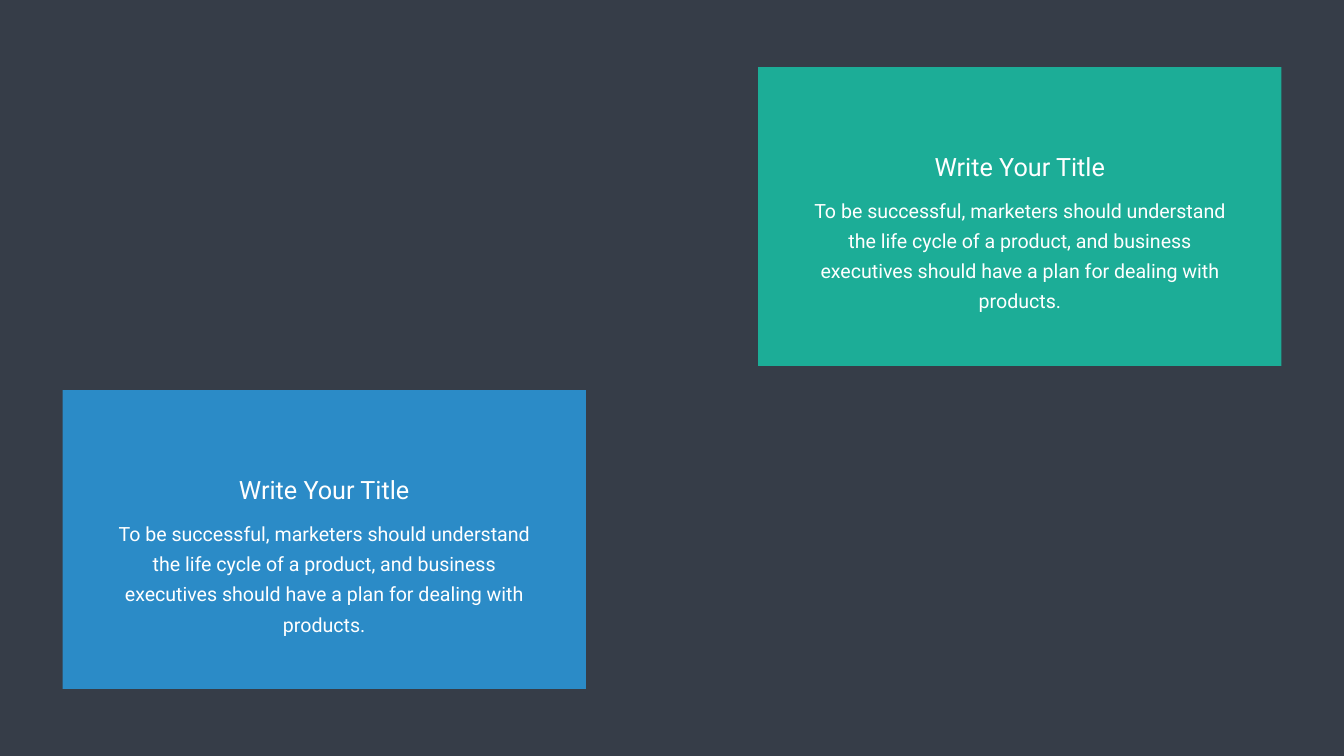
import pptx
import pptx.dml.color
import pptx.enum.shapes
import pptx.enum.text
import pptx.util

RGB = pptx.dml.color.RGBColor
Inch = pptx.util.Inches
Pt = pptx.util.Pt

# Content
TITLE = "Write Your Title"
BODY = ("To be successful, marketers should understand the life cycle of a "
        "product, and business executives should have a plan for dealing "
        "with products.")
DARK = RGB(0x36, 0x3D, 0x48)
GREEN = RGB(0x1C, 0xAD, 0x97)
BLUE = RGB(0x2B, 0x8B, 0xC7)
WHITE = RGB(0xFF, 0xFF, 0xFF)
FONT = "Roboto"

# Cards: column, row, fill, title, body
CARDS = [
    (1, 0, GREEN, TITLE, BODY),
    (0, 1, BLUE, TITLE, BODY),
]

# Grid
WIDE, HIGH = 26.66, 15
CARD_W, CARD_H = 10.38, 5.93
EDGE = 1.24
TOP = (HIGH - 2 * CARD_H - 0.48) / 2
STEP_X = WIDE - 2 * EDGE - CARD_W
STEP_Y = CARD_H + 0.48

# Text lines in a card: offset from its top, width, height, size, spacing
HEAD = (1.63, 4.19, 0.71, 36, None)
TEXT = (2.44, 8.9, 1.86, 28, 43)


def add_text(group, left, top, words, style):
    """Centre a white text box across the card."""
    drop, width, height, size, space = style
    box = group.shapes.add_textbox(
        Inch(left + (CARD_W - width) / 2), Inch(top + drop),
        Inch(width), Inch(height))
    frame = box.text_frame
    frame.word_wrap = True
    frame.auto_size = pptx.enum.text.MSO_AUTO_SIZE.SHAPE_TO_FIT_TEXT
    para = frame.paragraphs[0]
    para.alignment = pptx.enum.text.PP_ALIGN.CENTER
    if space:
        para.line_spacing = Pt(space)
    run = para.add_run()
    run.text = words
    run.font.name = FONT
    run.font.size = Pt(size)
    run.font.color.rgb = WHITE


def add_card(slide, col, row, fill, title, body):
    """Group a filled panel with its title and body."""
    left, top = EDGE + col * STEP_X, TOP + row * STEP_Y
    group = slide.shapes.add_group_shape()
    panel = group.shapes.add_shape(
        pptx.enum.shapes.MSO_SHAPE.RECTANGLE,
        Inch(left), Inch(top), Inch(CARD_W), Inch(CARD_H))
    panel.shadow.inherit = False
    panel.fill.solid()
    panel.fill.fore_color.rgb = fill
    panel.line.fill.background()
    add_text(group, left, top, body, TEXT)
    add_text(group, left, top, title, HEAD)


def main():
    deck = pptx.Presentation()
    deck.slide_width, deck.slide_height = Inch(WIDE), Inch(HIGH)
    slide = deck.slides.add_slide(deck.slide_layouts[6])

    # Background
    slide.background.fill.solid()
    slide.background.fill.fore_color.rgb = DARK

    # Cards
    for card in CARDS:
        add_card(slide, *card)
    deck.save("out.pptx")


if __name__ == "__main__":
    main()
